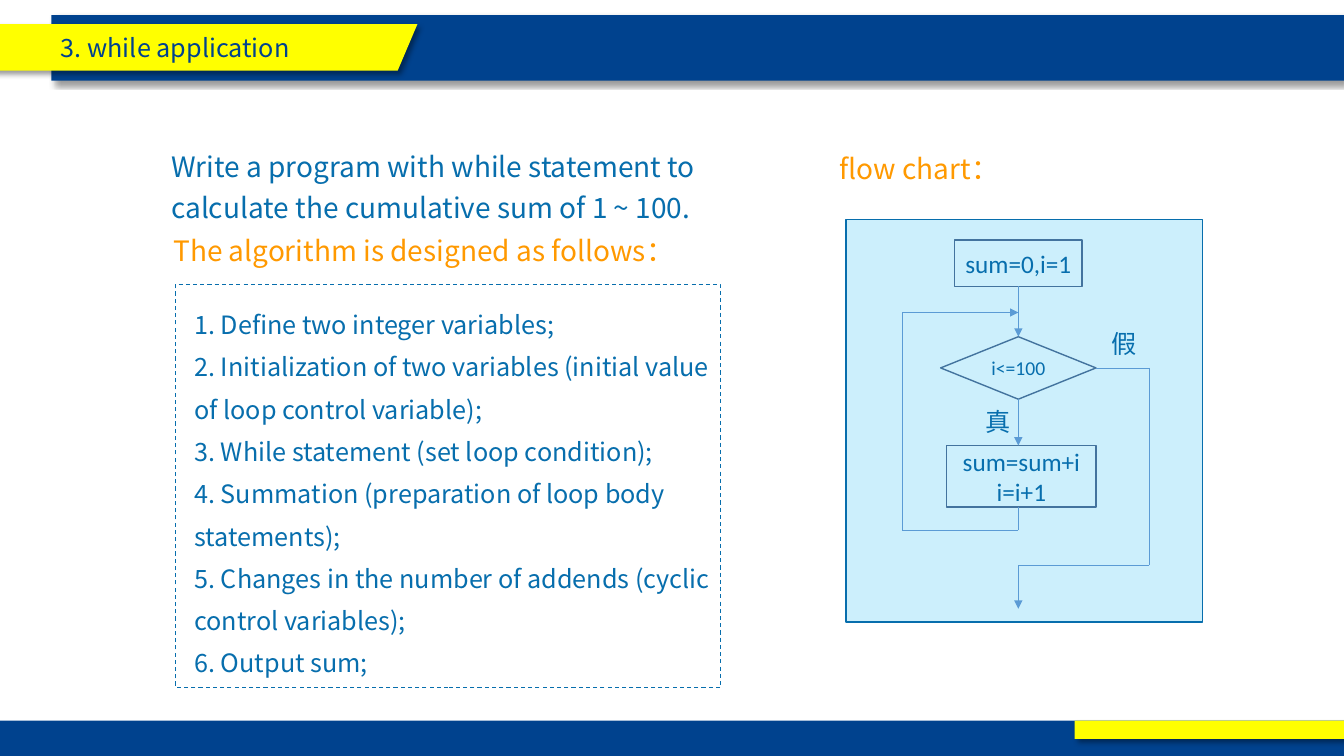
from dataclasses import dataclass
from itertools import pairwise

from lxml.etree import SubElement
from pptx import Presentation
from pptx.dml.color import RGBColor
from pptx.enum.dml import MSO_LINE
from pptx.enum.shapes import MSO_CONNECTOR, MSO_SHAPE
from pptx.enum.text import MSO_ANCHOR, MSO_AUTO_SIZE, PP_ALIGN
from pptx.oxml.ns import qn
from pptx.shapes.autoshape import Shape
from pptx.slide import Slide
from pptx.text.text import TextFrame
from pptx.util import Emu, Pt

PX = 9144  # EMU per px, 100 px to the inch


@dataclass(frozen=True)
class Theme:
    navy: str = "00428E"
    yellow: str = "FFFF00"
    blue: str = "076EAD"
    orange: str = "FF9900"
    cyan: str = "00B0F0"
    node_line: str = "43739E"
    arrow: str = "5B9BD5"
    body_font: str = "Noto Sans CJK SC"
    node_font: str = "Calibri"
    mark_font: str = "Arial"
    heading: int = 20
    body: int = 18
    small: int = 14


THEME = Theme()


@dataclass(frozen=True)
class Panel:
    left: int
    top: int
    width: int
    height: int
    fill: str | None = None
    line: str | None = None
    weight: float = 1
    opacity: int = 100
    dashed: bool = False
    shadow: bool = False
    kind: MSO_SHAPE = MSO_SHAPE.RECTANGLE


@dataclass(frozen=True)
class Label:
    left: int
    top: int
    width: int
    height: int
    lines: tuple[str, ...]
    color: str = THEME.blue
    size: int = THEME.heading
    font: str = THEME.body_font
    spacing: float = 1.2


@dataclass(frozen=True)
class Node:
    panel: Panel
    text: str
    size: int = THEME.body


@dataclass(frozen=True)
class Joint:
    shape: Shape
    site: int


Point = tuple[int, int]


def px(length: int) -> Emu:
    return Emu(length * PX)


def rgb(color: str) -> RGBColor:
    return RGBColor.from_string(color)


def write(frame: TextFrame, lines: tuple[str, ...], font: str, size: int, color: str,
          align: PP_ALIGN = PP_ALIGN.LEFT, spacing: float = 1.0) -> None:
    frame.text = "\n".join(lines)
    for para in frame.paragraphs:
        para.alignment = align
        para.line_spacing = spacing
        for span in para.runs:
            span.font.name = font
            span.font.size = Pt(size)
            span.font.color.rgb = rgb(color)
            SubElement(span.font._element, qn("a:ea"), typeface=THEME.body_font)


def add_shadow(shape: Shape) -> None:
    effects = shape._element.spPr.find(qn("a:effectLst"))
    outer = SubElement(effects, qn("a:outerShdw"), blurRad=str(Pt(4)), dist=str(Pt(3)),
                       dir=str(45 * 60000), algn="tl", rotWithShape="0")
    tint = SubElement(outer, qn("a:srgbClr"), val="000000")
    SubElement(tint, qn("a:alpha"), val="40000")


def add_panel(page: Slide, panel: Panel) -> Shape:
    shape = page.shapes.add_shape(panel.kind, px(panel.left), px(panel.top),
                                  px(panel.width), px(panel.height))
    shape.shadow.inherit = False
    if panel.fill:
        shape.fill.solid()
        shape.fill.fore_color.rgb = rgb(panel.fill)
        if panel.opacity < 100:
            tint = shape._element.spPr.find(qn("a:solidFill"))[0]
            SubElement(tint, qn("a:alpha"), val=str(panel.opacity * 1000))
    else:
        shape.fill.background()
    if panel.line:
        shape.line.color.rgb = rgb(panel.line)
        shape.line.width = Pt(panel.weight)
        if panel.dashed:
            shape.line.dash_style = MSO_LINE.DASH
    else:
        shape.line.fill.background()
    if panel.shadow:
        add_shadow(shape)
    return shape


def add_label(page: Slide, label: Label) -> None:
    box = page.shapes.add_textbox(px(label.left), px(label.top),
                                  px(label.width), px(label.height))
    frame = box.text_frame
    frame.word_wrap = True
    frame.auto_size = MSO_AUTO_SIZE.SHAPE_TO_FIT_TEXT
    write(frame, label.lines, label.font, label.size, label.color, spacing=label.spacing)


def add_node(page: Slide, node: Node) -> Shape:
    shape = add_panel(page, node.panel)
    shape.text_frame.word_wrap = False
    shape.text_frame.vertical_anchor = MSO_ANCHOR.MIDDLE
    write(shape.text_frame, tuple(node.text.split("\n")), THEME.node_font, node.size,
          THEME.blue, PP_ALIGN.CENTER)
    return shape


def add_route(page: Slide, points: list[Point], start: Joint | None = None,
              end: Joint | None = None) -> None:
    """Draw straight segments through the points, with an arrowhead on the last."""
    segments = [page.shapes.add_connector(MSO_CONNECTOR.STRAIGHT, px(x1), px(y1), px(x2), px(y2))
                for (x1, y1), (x2, y2) in pairwise(points)]
    for segment in segments:
        segment.line.color.rgb = rgb(THEME.arrow)
        segment.line.width = Pt(0.5)
        SubElement(segment._element.spPr, qn("a:effectLst"))
    SubElement(segments[-1].line._get_or_add_ln(), qn("a:tailEnd"), type="triangle")
    if start:
        segments[0].begin_connect(start.shape, start.site)
    if end:
        segments[-1].end_connect(end.shape, end.site)


BANDS = (
    Panel(51, 15, 1282, 65, fill=THEME.navy, shadow=True),
    Panel(0, 715, 1333, 35, fill=THEME.navy),
    Panel(1066, 715, 267, 18, fill=THEME.yellow, shadow=True),
)
TITLE_TAB = Panel(-57, 24, 471, 46, fill=THEME.yellow, shadow=True, kind=MSO_SHAPE.PARALLELOGRAM)
FRAMES = (
    Panel(839, 218, 354, 399, fill=THEME.cyan, opacity=20, line=THEME.blue),
    Panel(174, 282, 541, 400, line=THEME.blue, weight=0.75, dashed=True),
)
LABELS = (
    Label(160, 137, 631, 91,
          ("Write a program with while statement to calculate the cumulative sum of 1 ~ 100.",)),
    Label(162, 220, 543, 50, ("The algorithm is designed as follows：",), THEME.orange),
    Label(183, 290, 543, 391, (
        "1. Define two integer variables;",
        "2. Initialization of two variables (initial value of loop control variable);",
        "3. While statement (set loop condition);",
        "4. Summation (preparation of loop body statements);",
        "5. Changes in the number of addends (cyclic control variables);",
        "6. Output sum;",
    ), size=THEME.body, spacing=1.4),
    Label(823, 139, 250, 50, ("flow chart：",), THEME.orange),
    Label(968, 398, 98, 40, ("真",), size=THEME.body, font=THEME.mark_font, spacing=1.0),
    Label(1093, 321, 98, 40, ("假",), size=THEME.body, font=THEME.mark_font, spacing=1.0),
)
START = Node(Panel(947, 238, 126, 46, line=THEME.node_line,
                   kind=MSO_SHAPE.FLOWCHART_PROCESS), "sum=0,i=1")
TEST = Node(Panel(933, 334, 154, 62, line=THEME.node_line,
                  kind=MSO_SHAPE.FLOWCHART_DECISION), "i<=100", THEME.small)
BODY = Node(Panel(939, 442, 148, 61, line=THEME.node_line,
                  kind=MSO_SHAPE.FLOWCHART_PROCESS), "sum=sum+i\ni=i+1")


def main() -> None:
    deck = Presentation()
    deck.slide_width, deck.slide_height = px(1333), px(750)
    page = deck.slides.add_slide(deck.slide_layouts[6])

    # Header, footer and frames
    for panel in BANDS + FRAMES:
        add_panel(page, panel)

    # Title tab
    tab = add_panel(page, TITLE_TAB)
    tab.adjustments[0] = 0.424
    tab.text_frame.margin_left = px(70)
    tab.text_frame.vertical_anchor = MSO_ANCHOR.MIDDLE
    write(tab.text_frame, ("3. while application",), THEME.body_font, THEME.body, THEME.navy)

    # Task, algorithm and branch labels
    for label in LABELS:
        add_label(page, label)

    # Flow chart
    start, test, _ = (add_node(page, node) for node in (START, TEST, BODY))
    axis, loop_side, exit_side = 1010, 895, 1140
    add_route(page, [(axis, 284), (axis, 334)], Joint(start, 2), Joint(test, 0))
    add_route(page, [(axis, 396), (axis, 442)], Joint(test, 2))
    add_route(page, [(axis, 503), (axis, 526), (loop_side, 526), (loop_side, 310), (axis, 310)])
    add_route(page, [(1087, 365), (exit_side, 365), (exit_side, 561), (axis, 561), (axis, 604)],
              Joint(test, 3))

    deck.save("out.pptx")


if __name__ == "__main__":
    main()
